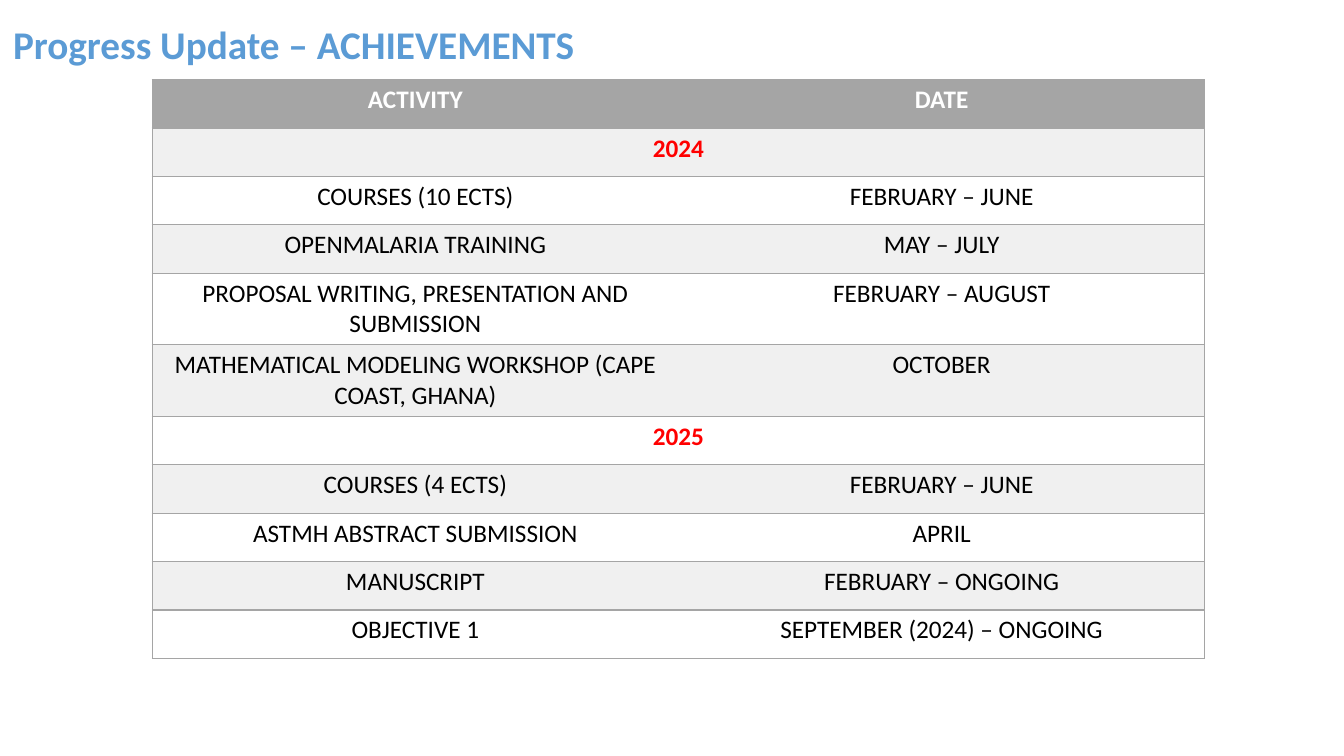
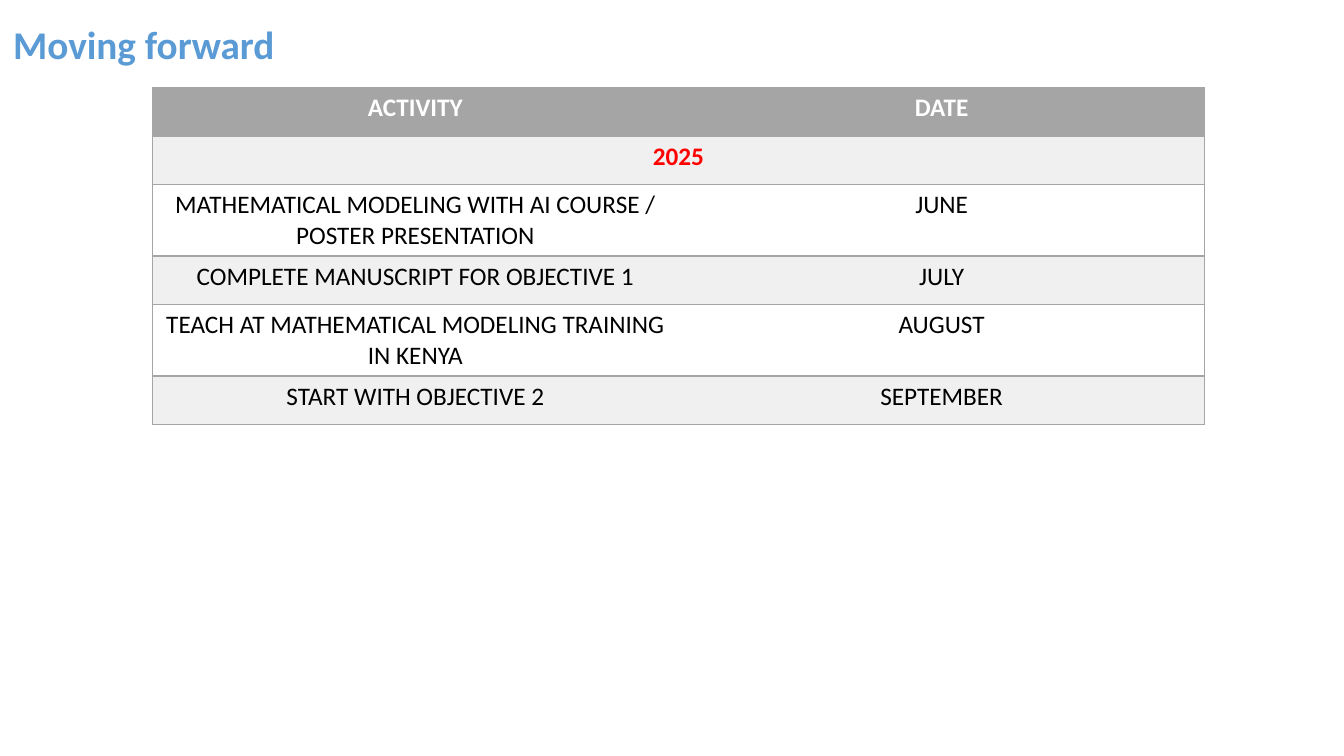
from dataclasses import dataclass

from lxml import etree
from pptx import Presentation
from pptx import util as u
from pptx.dml.color import RGBColor
from pptx.enum import text
from pptx.oxml import ns

SLIDE_W, SLIDE_H = 13.33, 7.5
TABLE_LEFT, COL_W = 1.51, 5.22
ROW_H = {1: 0.48, 2: 0.71}  # row height by number of text lines
FONT = "Calibri"

BLUE = RGBColor(0x5B, 0x9B, 0xD5)
GRAY = RGBColor(0xA5, 0xA5, 0xA5)
BAND = RGBColor(0xF0, 0xF0, 0xF0)
WHITE = RGBColor(0xFF, 0xFF, 0xFF)
BLACK = RGBColor(0, 0, 0)
RED = RGBColor(0xFF, 0, 0)

TITLE_FONT = {"name": FONT, "size": u.Pt(28), "bold": True}
HEAD_FONT = {"name": FONT, "size": u.Pt(18), "bold": True}
BODY_FONT = HEAD_FONT | {"bold": False}


@dataclass
class Row:
    """An activity and its date; without a date, a year across both columns."""
    activity: str
    date: str = ""
    lines: int = 1


@dataclass
class Plan:
    title: str
    top: float
    rows: list[Row]


HEADER = Row("ACTIVITY", "DATE")
PLANS = [
    Plan("Progress Update – ACHIEVEMENTS", 0.79, [
        Row("2024"),
        Row("COURSES (10 ECTS)", "FEBRUARY – JUNE"),
        Row("OPENMALARIA TRAINING", "MAY – JULY"),
        Row("PROPOSAL WRITING, PRESENTATION AND SUBMISSION", "FEBRUARY – AUGUST", 2),
        Row("MATHEMATICAL MODELING WORKSHOP (CAPE COAST, GHANA)", "OCTOBER", 2),
        Row("2025"),
        Row("COURSES (4 ECTS)", "FEBRUARY – JUNE"),
        Row("ASTMH ABSTRACT SUBMISSION", "APRIL"),
        Row("MANUSCRIPT", "FEBRUARY – ONGOING"),
        Row("OBJECTIVE 1", "SEPTEMBER (2024) – ONGOING"),
    ]),
    Plan("Moving forward", 0.87, [
        Row("2025"),
        Row("MATHEMATICAL MODELING WITH AI COURSE / POSTER PRESENTATION", "JUNE", 2),
        Row("COMPLETE MANUSCRIPT FOR OBJECTIVE 1", "JULY"),
        Row("TEACH AT MATHEMATICAL MODELING TRAINING IN KENYA", "AUGUST", 2),
        Row("START WITH OBJECTIVE 2", "SEPTEMBER"),
    ]),
]


def set_font(font, values: dict, color: RGBColor) -> None:
    for name, value in values.items():
        setattr(font, name, value)
    font.color.rgb = color


def set_borders(cell, sides: str) -> None:
    """Draw the given sides (of L, R, T, B) and clear the others."""
    pr = cell._tc.get_or_add_tcPr()
    for side in "LRTB":
        ln = etree.SubElement(pr, ns.qn(f"a:ln{side}"), w=str(u.Pt(1)))
        if side in sides:
            fill = etree.SubElement(ln, ns.qn("a:solidFill"))
            etree.SubElement(fill, ns.qn("a:srgbClr"), val=str(GRAY))
        else:
            etree.SubElement(ln, ns.qn("a:noFill"))


def add_title(slide, title: str) -> None:
    sp = slide.shapes.title
    sp.left, sp.top = u.Inches(0.13), u.Inches(0.06)
    sp.width, sp.height = u.Inches(SLIDE_W - 0.13), u.Inches(0.81)
    tf = sp.text_frame
    tf.text = title
    tf.margin_left = 0
    tf.vertical_anchor = text.MSO_ANCHOR.MIDDLE
    p = tf.paragraphs[0]
    p.alignment = text.PP_ALIGN.JUSTIFY
    p.line_spacing = 0.9
    set_font(p.runs[0].font, TITLE_FONT, BLUE)


def fill_cell(cell, label: str, fill: RGBColor, sides: str,
              font: dict, color: RGBColor) -> None:
    set_borders(cell, sides)
    cell.fill.solid()
    cell.fill.fore_color.rgb = fill
    if label:
        p = cell.text_frame.paragraphs[0]
        p.alignment = text.PP_ALIGN.CENTER
        r = p.add_run()
        r.text = label
        set_font(r.font, font, color)


def add_plan_table(slide, plan: Plan) -> None:
    rows = [HEADER, *plan.rows]
    heights = [u.Inches(ROW_H[row.lines]) for row in rows]
    table = slide.shapes.add_table(
        len(rows), 2, u.Inches(TABLE_LEFT), u.Inches(plan.top),
        u.Inches(2 * COL_W), sum(heights)).table
    table.first_row = table.horz_banding = False

    for i, (row, height) in enumerate(zip(rows, heights)):
        table.rows[i].height = height
        is_year = not row.date
        font = HEAD_FONT if i == 0 or is_year else BODY_FONT
        color = WHITE if i == 0 else RED if is_year else BLACK
        fill = GRAY if i == 0 else BAND if i % 2 else WHITE
        left, right = table.cell(i, 0), table.cell(i, 1)
        if is_year:
            left.merge(right)
        fill_cell(left, row.activity, fill, "LRTB" if is_year else "LTB", font, color)
        fill_cell(right, row.date, fill, "RTB", font, color)


def main() -> None:
    prs = Presentation()
    prs.slide_width, prs.slide_height = u.Inches(SLIDE_W), u.Inches(SLIDE_H)
    for plan in PLANS:
        slide = prs.slides.add_slide(prs.slide_layouts[5])
        add_title(slide, plan.title)
        add_plan_table(slide, plan)
    prs.save("out.pptx")


if __name__ == "__main__":
    main()
